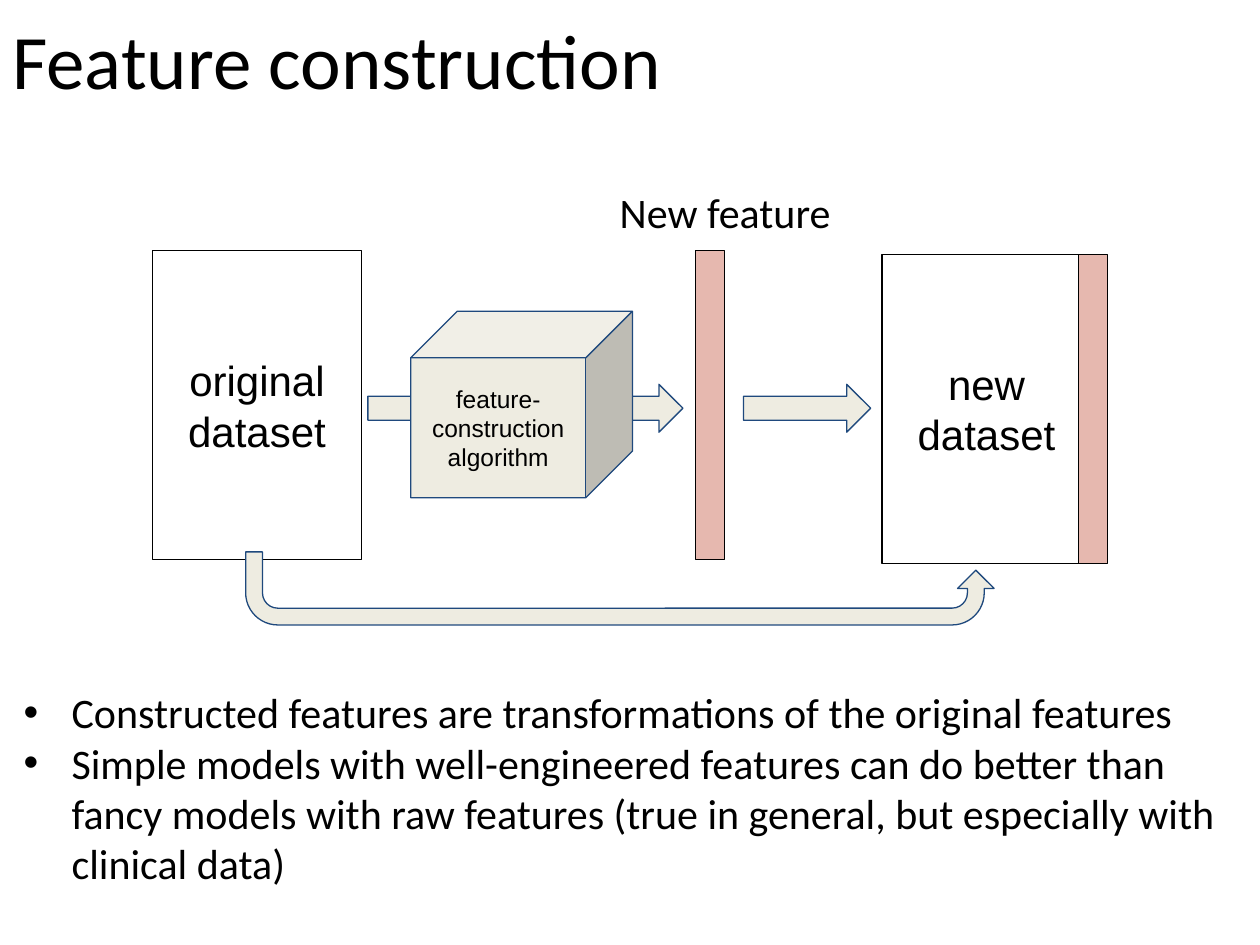
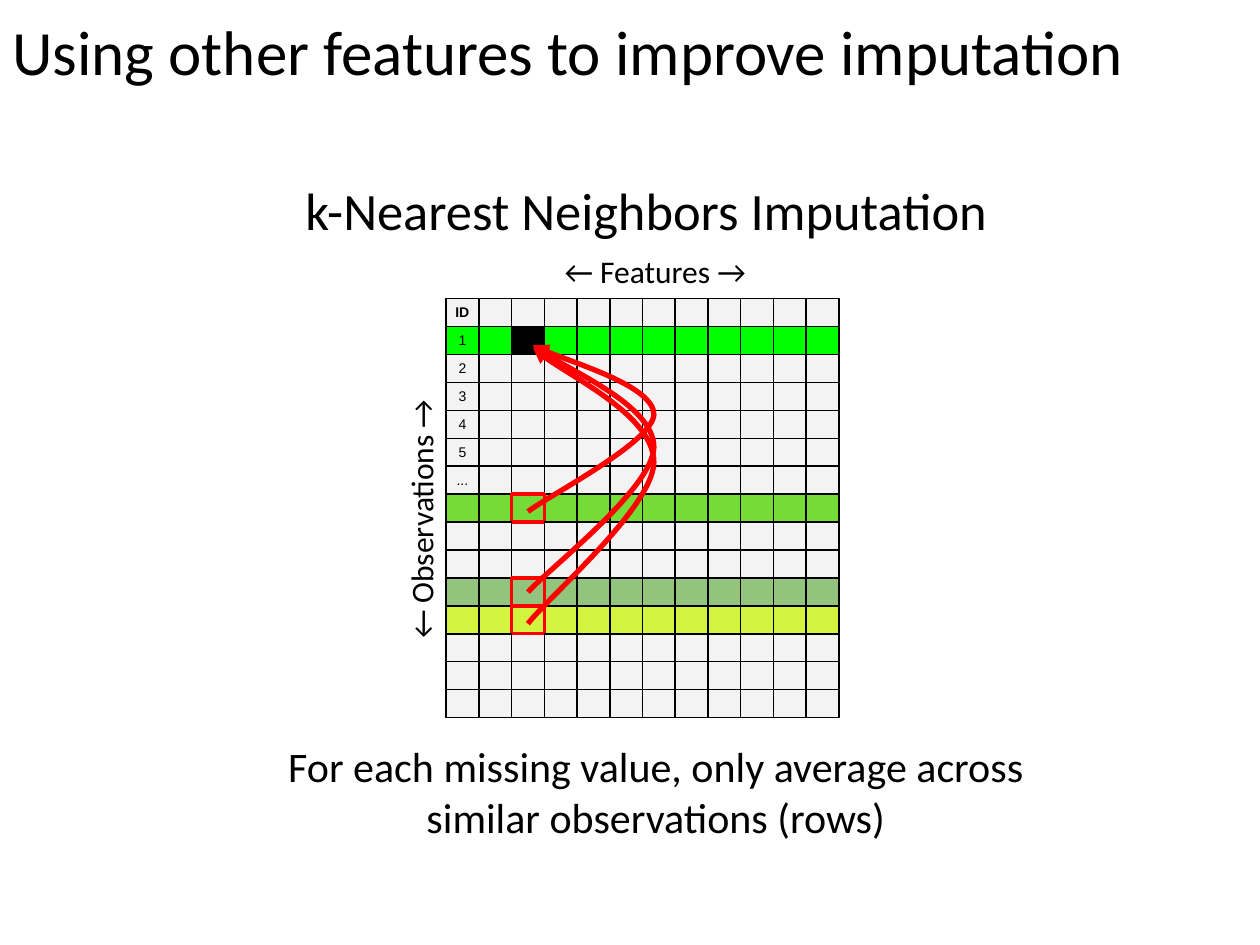
from lxml.etree import SubElement
from pptx import Presentation
from pptx.dml.color import RGBColor
from pptx.enum.shapes import MSO_SHAPE
from pptx.enum.text import MSO_ANCHOR, PP_ALIGN
from pptx.oxml.ns import qn
from pptx.util import Inches, Pt

BLACK = RGBColor(0x00, 0x00, 0x00)
WHITE = RGBColor(0xFF, 0xFF, 0xFF)
CREAM = RGBColor(0xEE, 0xEC, 0xE1)
NAVY = RGBColor(0x1F, 0x49, 0x7D)
PINK = RGBColor(0xE6, 0xB8, 0xAF)
RED = RGBColor(0xFF, 0x00, 0x00)
GRAY = RGBColor(0xF3, 0xF3, 0xF3)
LIME = RGBColor(0x00, 0xFF, 0x00)
GREEN = RGBColor(0x75, 0xDB, 0x36)
SAGE = RGBColor(0x93, 0xC4, 0x7D)
YELLOW = RGBColor(0xD3, 0xF3, 0x3E)

ROWS, COLS = 15, 12
ROW_H, COL_W = 0.222, 0.26
GAP_COL = 2
TARGET = 1
NEAR = {7: GREEN, 10: SAGE, 11: YELLOW}
LABELS = ["ID", "1", "2", "3", "4", "5", "..."]


def style(para, size, font="Calibri", align=PP_ALIGN.LEFT, bold=False):
    para.alignment = align
    para.font.size = Pt(size)
    para.font.name = font
    para.font.bold = bold
    para.font.color.rgb = BLACK


def inset(frame, side, top):
    frame.margin_left = frame.margin_right = Inches(side)
    frame.margin_top = frame.margin_bottom = Inches(top)


def add_text(slide, box, lines, size, align=PP_ALIGN.LEFT, pad=0.1, bullet=False):
    shape = slide.shapes.add_textbox(*map(Inches, box))
    frame = shape.text_frame
    frame.word_wrap = True
    inset(frame, 0.1, pad)
    frame.text = "\n".join(lines)
    for para in frame.paragraphs:
        if bullet:
            props = para._p.get_or_add_pPr()
            props.set("marL", str(Inches(0.46)))
            props.set("indent", str(Inches(-0.38)))
            SubElement(props, qn("a:buFont"), typeface="Arial")
            SubElement(props, qn("a:buChar"), char="•")
        style(para, size, align=align)
    return shape


def add_title(slide, text, size):
    add_text(slide, (0, 0, 10, 1.2), [text], size)


def add_block(slide, kind, box, fill, line, text="", size=24, adjust=()):
    """Add a filled preset shape with an optional centred label."""
    shape = slide.shapes.add_shape(kind, *map(Inches, box))
    shape.shadow.inherit = False
    shape.fill.solid()
    shape.fill.fore_color.rgb = fill
    shape.line.color.rgb = line
    shape.line.width = Pt(0.75)
    for i, value in enumerate(adjust):
        shape.adjustments[i] = value
    if text:
        frame = shape.text_frame
        frame.word_wrap = True
        frame.vertical_anchor = MSO_ANCHOR.MIDDLE
        inset(frame, 0.1, 0.1)
        frame.text = text
        style(frame.paragraphs[0], size, "Arial", PP_ALIGN.CENTER)
    return shape


def add_arrow(slide, left, width):
    add_block(slide, MSO_SHAPE.RIGHT_ARROW, (left, 3.05, width, 0.38), CREAM, NAVY)


def add_sheet(slide, left, top, text):
    add_block(slide, MSO_SHAPE.RECTANGLE, (left, top, 1.66, 2.45), WHITE, BLACK, text)


def add_strip(slide, left, top):
    add_block(slide, MSO_SHAPE.RECTANGLE, (left, top, 0.23, 2.45), PINK, BLACK)


def add_curve(slide, points):
    """Draw a red arrow along Bezier segments: a start, then three points each."""
    points = [(Inches(x), Inches(y)) for x, y in points]
    draft = slide.shapes.build_freeform(*points[0])
    draft.add_line_segments(points[1:], close=False)
    shape = draft.convert_to_shape()
    shape.shadow.inherit = False
    shape.fill.background()
    shape.line.color.rgb = RED
    shape.line.width = Pt(3)
    SubElement(shape.line._get_or_add_ln(), qn("a:tailEnd"), type="triangle")
    track = next(shape._element.iter(qn("a:path")))
    steps = track.findall(qn("a:lnTo"))
    for i in range(0, len(steps), 3):
        bend = SubElement(track, qn("a:cubicBezTo"))
        for step in steps[i:i + 3]:
            bend.append(step[0])
            track.remove(step)


def is_marked(row, col):
    return row in NEAR and col == GAP_COL


def add_borders(cell, row, col):
    sides = {"L": (0, -1), "R": (0, 1), "T": (-1, 0), "B": (1, 0)}
    props = cell._tc.get_or_add_tcPr()
    for side, (down, right) in sides.items():
        r, c = row + down, col + right
        inside = 0 <= r < ROWS and 0 <= c < COLS
        color, width = BLACK, 1 if inside else 0.75
        if is_marked(row, col) or is_marked(r, c):
            color, width = RED, 2.25
        line = SubElement(props, qn("a:ln" + side), w=str(Pt(width)))
        fill = SubElement(line, qn("a:solidFill"))
        SubElement(fill, qn("a:srgbClr"), val=str(color))


def add_grid(slide):
    box = (3.54, 2.37, COLS * COL_W, ROWS * ROW_H)
    table = slide.shapes.add_table(ROWS, COLS, *map(Inches, box)).table
    table.first_row = table.horz_banding = False
    for column in table.columns:
        column.width = Inches(COL_W)
    fills = {TARGET: LIME, **NEAR}
    for r, row in enumerate(table.rows):
        row.height = Inches(ROW_H)
        for c, cell in enumerate(row.cells):
            add_borders(cell, r, c)
            cell.fill.solid()
            missing = (r, c) == (TARGET, GAP_COL)
            cell.fill.fore_color.rgb = BLACK if missing else fills.get(r, GRAY)
            inset(cell, 0, 0)
            cell.vertical_anchor = MSO_ANCHOR.MIDDLE
            para = cell.text_frame.paragraphs[0]
            if c == 0 and r < len(LABELS):
                para.text = LABELS[r]
            style(para, 8, "Arial", PP_ALIGN.CENTER, bold=r == 0)
            SubElement(para._p, qn("a:endParaRPr"), sz="800")


def build_feature(slide):
    add_title(slide, "Feature construction", 44)
    add_arrow(slide, 2.92, 2.5)
    add_sheet(slide, 1.21, 1.99, "original dataset")
    add_block(slide, MSO_SHAPE.CUBE, (3.26, 2.47, 1.76, 1.48), CREAM, NAVY,
              "feature- construction algorithm", 14, [0.25])
    add_strip(slide, 5.52, 1.99)
    add_text(slide, (4.82, 1.38, 1.92, 0.49), ["New feature"], 24)
    add_sheet(slide, 7, 2.02, "new dataset")
    add_strip(slide, 8.56, 2.02)
    turn = add_block(slide, MSO_SHAPE.U_TURN_ARROW, (1.95, 4.38, 5.94, 0.58),
                     CREAM, NAVY, adjust=[0.23, 0.25, 0.25, 0.44, 0.75])
    turn.rotation = 180
    turn._element.spPr.find(qn("a:xfrm")).set("flipH", "1")
    add_arrow(slide, 5.9, 1.01)
    add_text(slide, (0.01, 5.35, 10, 1.8), [
        "Constructed features are transformations of the original features",
        "Simple models with well-engineered features can do better than fancy "
        "models with raw features (true in general, but especially with "
        "clinical data)",
    ], 24, bullet=True)


def build_neighbors(slide):
    mid = PP_ALIGN.CENTER
    add_title(slide, "Using other features to improve imputation", 36)
    add_text(slide, (2.09, 1.31, 6.08, 1.15), ["k-Nearest Neighbors Imputation"], 30, mid)
    side = add_text(slide, (2.16, 3.92, 2.36, 0.4), ["← Observations →"], 18, mid, 0.05)
    side.rotation = 270
    add_text(slide, (4.19, 1.95, 2.02, 0.4), ["← Features →"], 18, mid, 0.05)
    add_grid(slide)
    for start, out, rise, peak, back, end in [
        (4.06, 3.93, 3.51, 3.29, (3.07, 2.83), 2.74),
        (4.7, 4.51, 3.88, 3.55, (3.23, 2.88), 2.74),
        (4.95, 4.73, 4.03, 3.67, (3.31, 2.92), 2.76),
    ]:
        add_curve(slide, [(4.19, start), (4.36, out), (5.18, rise), (5.19, peak),
                          (5.19, back[0]), (4.39, back[1]), (4.23, end)])
    add_text(slide, (2.09, 5.78, 6.23, 1.15), [
        "For each missing value, only average across similar observations (rows)",
    ], 24, mid)


def main():
    deck = Presentation()
    deck.slide_width, deck.slide_height = Inches(10), Inches(7.5)
    for build in (build_feature, build_neighbors):
        build(deck.slides.add_slide(deck.slide_layouts[6]))
    deck.save("out.pptx")


if __name__ == "__main__":
    main()
